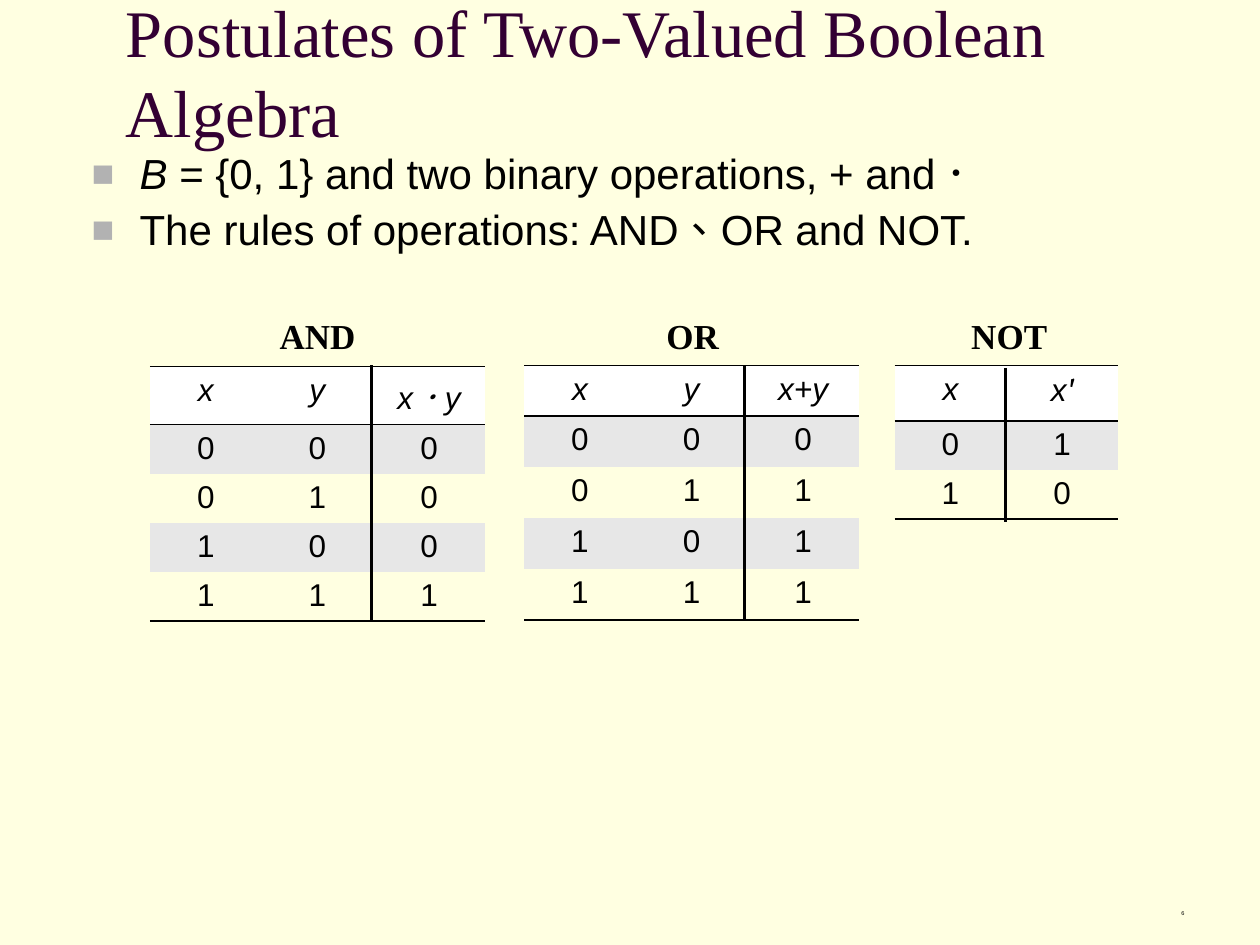
from dataclasses import dataclass

from lxml.etree import SubElement
from pptx import Presentation
from pptx.dml.color import RGBColor
from pptx.enum.lang import MSO_LANGUAGE_ID as Language
from pptx.enum.shapes import MSO_CONNECTOR
from pptx.enum.text import MSO_ANCHOR as Anchor, MSO_AUTO_SIZE as AutoSize, PP_ALIGN as Align
from pptx.oxml.ns import qn
from pptx.util import Inches, Pt

COLORS = {
    "background": "FFFFE1",
    "title": "330033",
    "text": "000000",
    "bullet": "B2B2B2",
    "header": "FFFFFF",
    "band": "E7E7E7",
}
SANS, SERIF, PRIME = "Arial", "Times New Roman", "Vollkorn"
COL_W = 0.886
RULE_W = 0.96


@dataclass
class Run:
    text: str
    size: float
    font: str = SANS
    color: str = "text"
    bold: bool = False
    italic: bool = False


@dataclass
class TruthTable:
    name: str
    name_left: float
    name_width: float
    left: float
    top: float
    header_height: float
    row_height: float
    header: list[str]
    rows: list[str]
    divider_x: float
    divider_top: float
    divider_height: float


TABLES = [
    TruthTable("AND", 2.12, 0.82, 1.19, 2.91, 0.46, 0.39, ["x", "y", "x．y"],
               ["000", "010", "100", "111"], 2.95, 2.9, 2.02),
    TruthTable("OR", 5.19, 0.66, 4.16, 2.9, 0.4, 0.405, ["x", "y", "x+y"],
               ["000", "011", "101", "111"], 5.91, 2.9, 2.02),
    TruthTable("NOT", 7.61, 0.82, 7.1, 2.9, 0.44, 0.39, ["x", "x'"],
               ["01", "10"], 7.98, 2.92, 1.22),
]


def rgb(name: str) -> RGBColor:
    return RGBColor.from_string(COLORS[name])


def add_run(p, run: Run) -> None:
    r = p.add_run()
    r.text = run.text
    font = r.font
    font.name, font.size = run.font, Pt(run.size)
    font.bold, font.italic = run.bold, run.italic
    font.color.rgb = rgb(run.color)
    # Full-width punctuation is centred in Traditional Chinese
    if any(mark in run.text for mark in "．、"):
        font.language_id = Language.TAIWAN if hasattr(Language, "TAIWAN") \
            else Language.TRADITIONAL_CHINESE


def add_text(slide, left: float, top: float, width: float, height: float,
             paragraphs: list[list[Run]], wrap: bool = True):
    tf = slide.shapes.add_textbox(
        Inches(left), Inches(top), Inches(width), Inches(height)).text_frame
    tf.word_wrap = wrap
    for i, runs in enumerate(paragraphs):
        p = tf.paragraphs[0] if i == 0 else tf.add_paragraph()
        for run in runs:
            add_run(p, run)
    return tf


def add_bullet(p) -> None:
    pPr = p._p.get_or_add_pPr()
    pPr.set("marL", str(Inches(0.38)))
    pPr.set("indent", str(-Inches(0.38)))
    color = SubElement(pPr, qn("a:buClr"))
    SubElement(color, qn("a:srgbClr"), val=COLORS["bullet"])
    SubElement(pPr, qn("a:buSzPct"), val="90000")
    SubElement(pPr, qn("a:buFont"), typeface=SANS)
    SubElement(pPr, qn("a:buChar"), char="■")


def set_borders(cell, ruled: set[str]) -> None:
    tcPr = cell._tc.get_or_add_tcPr()
    for side in "LRTB":
        width = Pt(RULE_W) if side in ruled else 0
        ln = SubElement(tcPr, qn(f"a:ln{side}"), w=str(width))
        if side in ruled:
            fill = SubElement(ln, qn("a:solidFill"))
            SubElement(fill, qn("a:srgbClr"), val=COLORS["text"])
        else:
            SubElement(ln, qn("a:noFill"))


def fill_cell(cell, text: str, row: int, last_row: int) -> None:
    ruled = set()
    if row <= 1:
        ruled.add("T")
    if row in (0, last_row):
        ruled.add("B")
    set_borders(cell, ruled)
    color = "header" if row == 0 else "band" if row % 2 else "background"
    cell.fill.solid()
    cell.fill.fore_color.rgb = rgb(color)
    cell.margin_bottom = Inches(0.03)
    p = cell.text_frame.paragraphs[0]
    p.alignment = Align.CENTER
    variable, prime, _ = text.partition("'")
    add_run(p, Run(variable, 18, italic=row == 0))
    if prime:
        add_run(p, Run(prime, 18, PRIME, bold=True, italic=True))


def add_truth_table(slide, t: TruthTable) -> None:
    grid = [t.header, *t.rows]
    height = t.header_height + t.row_height * len(t.rows)
    table = slide.shapes.add_table(
        len(grid), len(t.header), Inches(t.left), Inches(t.top),
        Inches(COL_W * len(t.header)), Inches(height)).table
    table.first_row = table.horz_banding = False
    for column in table.columns:
        column.width = Inches(COL_W)
    for i, values in enumerate(grid):
        table.rows[i].height = Inches(t.row_height if i else t.header_height)
        for j, value in enumerate(values):
            fill_cell(table.cell(i, j), value, i, len(t.rows))


def add_divider(slide, t: TruthTable) -> None:
    x = Inches(t.divider_x)
    line = slide.shapes.add_connector(
        MSO_CONNECTOR.STRAIGHT, x, Inches(t.divider_top),
        x, Inches(t.divider_top + t.divider_height))
    line.line.color.rgb = rgb("text")
    line.line.width = Pt(2)
    SubElement(line._element.spPr, qn("a:effectLst"))


def main() -> None:
    prs = Presentation()
    prs.slide_width, prs.slide_height = Inches(10), Inches(7.5)
    slide = prs.slides.add_slide(prs.slide_layouts[6])
    slide.background.fill.solid()
    slide.background.fill.fore_color.rgb = rgb("background")

    # Slide number
    tf = add_text(slide, 7.42, 7.17, 2.08, 0.17, [[Run("6", 3.2)]])
    tf.paragraphs[0].alignment = Align.RIGHT

    # Title
    title = Run("Postulates of Two-Valued Boolean Algebra", 38, SERIF, "title")
    tf = add_text(slide, 1, 0.17, 8.5, 0.78, [[title]])
    tf.vertical_anchor = Anchor.MIDDLE
    tf.margin_left = tf.margin_right = tf.margin_top = tf.margin_bottom = 0

    # Bulleted postulates
    tf = add_text(slide, 0.63, 1.17, 9.37, 5.69, [
        [Run("B", 24, italic=True),
         Run(" = {0, 1} and two binary operations, + and．", 24)],
        [Run("The rules of operations: AND、OR and NOT.", 24)],
    ])
    for i, p in enumerate(tf.paragraphs):
        add_bullet(p)
        p.line_spacing = 0.9
        p.space_before = Pt(6 if i else 0)

    # Truth tables, their dividers and names
    for t in TABLES:
        add_truth_table(slide, t)
    for t in TABLES:
        add_divider(slide, t)
    for t in TABLES:
        name = Run(t.name, 20, SERIF, bold=True)
        tf = add_text(slide, t.name_left, 2.45, t.name_width, 0.44, [[name]], wrap=False)
        tf.auto_size = AutoSize.SHAPE_TO_FIT_TEXT

    prs.save("out.pptx")


if __name__ == "__main__":
    main()
